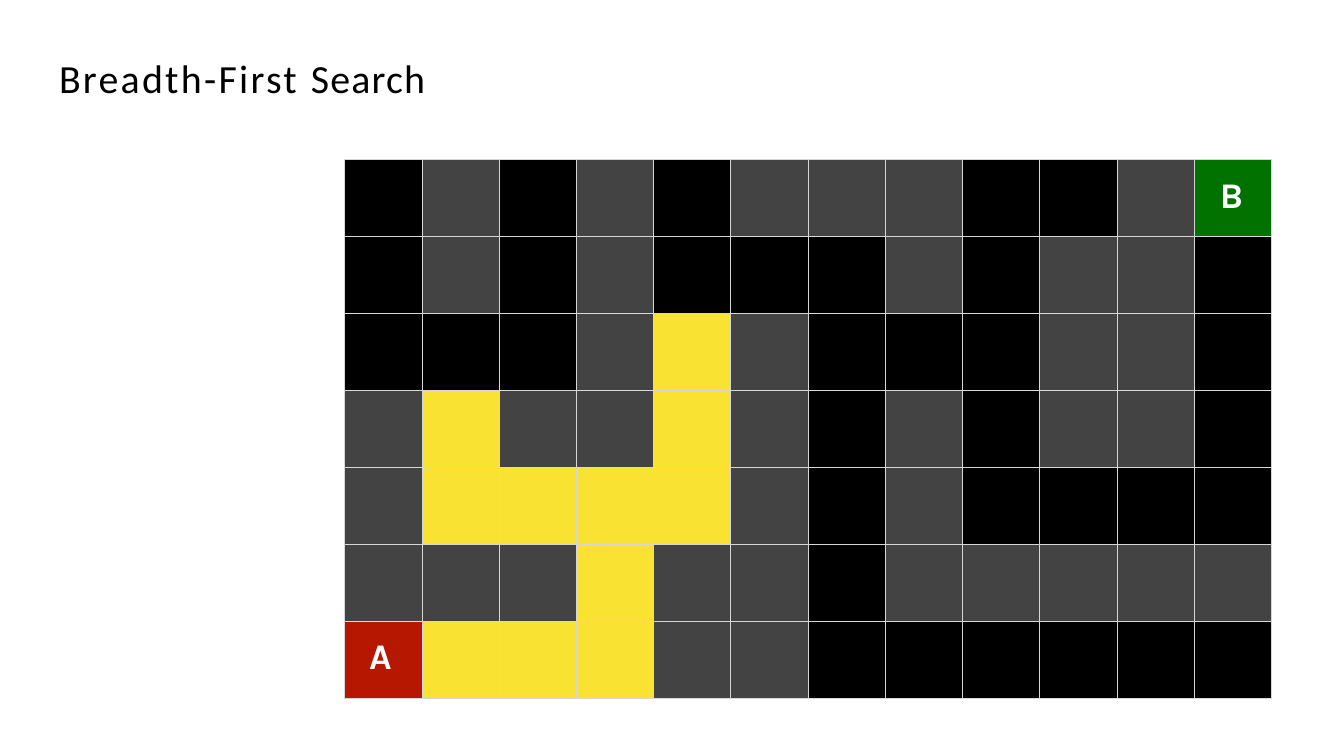
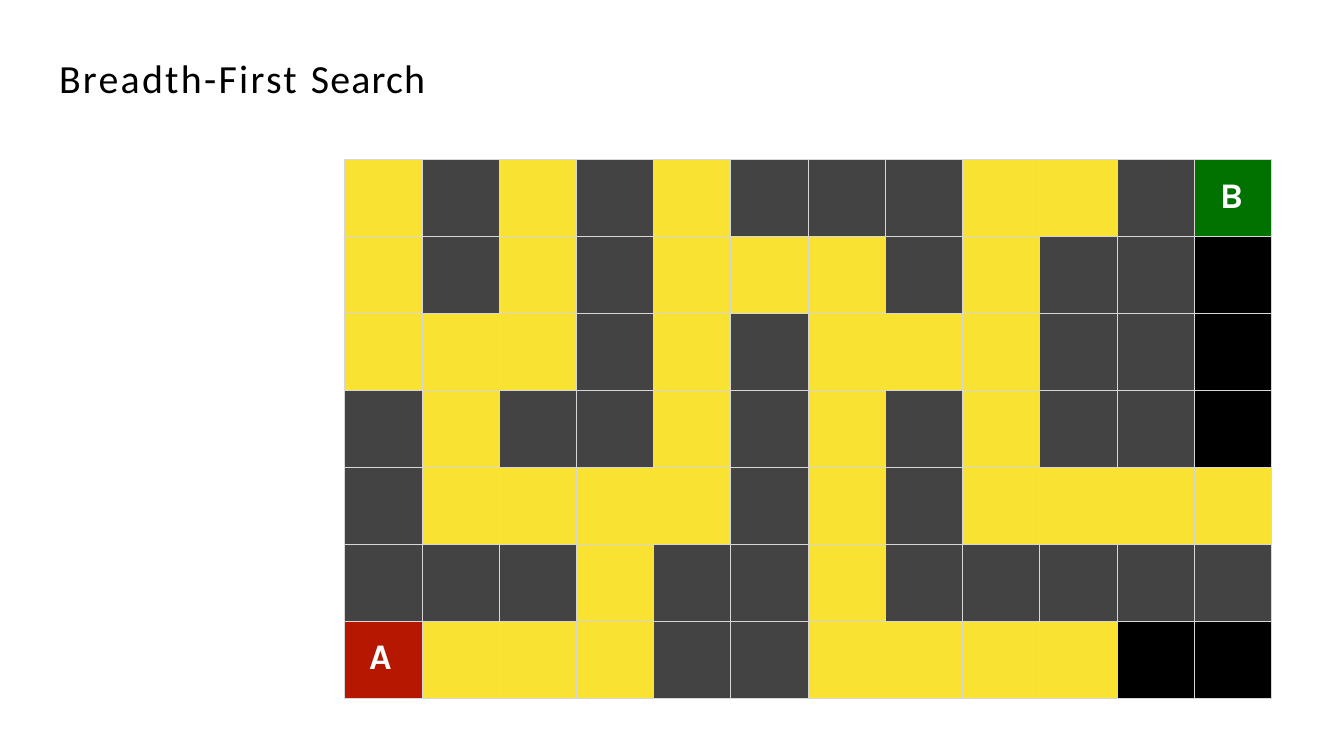
from lxml import etree
from pptx import Presentation
from pptx.dml.color import RGBColor
from pptx.enum.text import MSO_ANCHOR
from pptx.oxml.ns import qn
from pptx.util import Pt

TOP = MSO_ANCHOR.TOP
MIDDLE = MSO_ANCHOR.MIDDLE

BLACK = RGBColor(0x00, 0x00, 0x00)
WHITE = RGBColor(0xFF, 0xFF, 0xFF)
GRID = RGBColor(0xD6, 0xD7, 0xD6)
EXPLORED = RGBColor(0xFA, 0xE2, 0x32)
SQUARE_COLORS = {
    "#": RGBColor(0x43, 0x43, 0x43),
    ".": BLACK,
    "A": RGBColor(0xB5, 0x17, 0x00),
    "B": RGBColor(0x01, 0x71, 0x00),
}

SLIDE_WIDTH, SLIDE_HEIGHT = 1583.28, 890.64
TITLE_BOX = (69.5, 62, 481, 58)
MAZE_BOX = (406, 188, 1092, 634.2)
LABEL_MARGINS = {"A": (28.8, 18), "B": (30.2, 18.7)}

MAZE = [
    ".#.#.###..#B",
    ".#.#...#.##.",
    "...#.#...##.",
    "#.##.#.#.##.",
    "#....#.#....",
    "###.##.#####",
    "A...##......",
]
START = (6, 0)
SEARCH_DEPTHS = (8, 19)


def add_text(paragraph, text, font, size, color, bold=False, spacing=0):
    run = paragraph.add_run()
    run.text = text
    run.font.name = font
    run.font.size = Pt(size)
    run.font.color.rgb = color
    run.font.bold = bold
    if spacing:
        run.font._element.set("spc", str(round(spacing * 100)))


def breadth_first(depth):
    reached = frontier = {START}
    for _ in range(depth):
        neighbours = {
            (row + down, column + right)
            for row, column in frontier
            for down, right in ((0, 1), (1, 0), (0, -1), (-1, 0))
        }
        frontier = {
            (row, column)
            for row, column in neighbours - reached
            if 0 <= row < len(MAZE)
            and 0 <= column < len(MAZE[0])
            and MAZE[row][column] != "#"
        }
        reached = reached | frontier
    return reached


def add_borders(square):
    properties = square._tc.get_or_add_tcPr()
    for side in ("a:lnL", "a:lnR", "a:lnT", "a:lnB"):
        line = etree.SubElement(properties, qn(side), w=str(Pt(1)))
        fill = etree.SubElement(line, qn("a:solidFill"))
        etree.SubElement(fill, qn("a:srgbClr"), val=str(GRID))


def add_title(slide, box):
    frame = slide.shapes.add_textbox(*map(Pt, box)).text_frame
    frame.word_wrap = True
    frame.vertical_anchor = MIDDLE
    frame.margin_left = frame.margin_right = 0
    frame.margin_top = frame.margin_bottom = 0
    heading = frame.paragraphs[0]
    add_text(heading, "Breadth-First ", "Calibri", 47, BLACK, spacing=2.7)
    add_text(heading, "Search", "Calibri", 47, BLACK, spacing=1.4)


def add_maze(slide, box, explored):
    rows, columns = len(MAZE), len(MAZE[0])
    maze = slide.shapes.add_table(rows, columns, *map(Pt, box)).table
    maze.first_row = maze.horz_banding = False
    for column in maze.columns:
        column.width = Pt(box[2] / columns)
    for row in maze.rows:
        row.height = Pt(box[3] / rows)
    for row, marks in enumerate(MAZE):
        for column, mark in enumerate(marks):
            square = maze.cell(row, column)
            add_borders(square)
            open_and_explored = mark == "." and (row, column) in explored
            square.fill.solid()
            square.fill.fore_color.rgb = (
                EXPLORED if open_and_explored else SQUARE_COLORS[mark]
            )
            if mark in LABEL_MARGINS:
                left, top = LABEL_MARGINS[mark]
                square.margin_left, square.margin_top = Pt(left), Pt(top)
                square.margin_right = square.margin_bottom = 0
                square.vertical_anchor = TOP
                label = square.text_frame.paragraphs[0]
                add_text(label, mark, "Karla", 42.5, WHITE, bold=True)


def add_search_slide(deck, depth):
    slide = deck.slides.add_slide(deck.slide_layouts[6])
    add_maze(slide, MAZE_BOX, breadth_first(depth))
    add_title(slide, TITLE_BOX)


def main():
    deck = Presentation()
    deck.slide_width = Pt(SLIDE_WIDTH)
    deck.slide_height = Pt(SLIDE_HEIGHT)
    for depth in SEARCH_DEPTHS:
        add_search_slide(deck, depth)
    deck.save("out.pptx")


if __name__ == "__main__":
    main()
